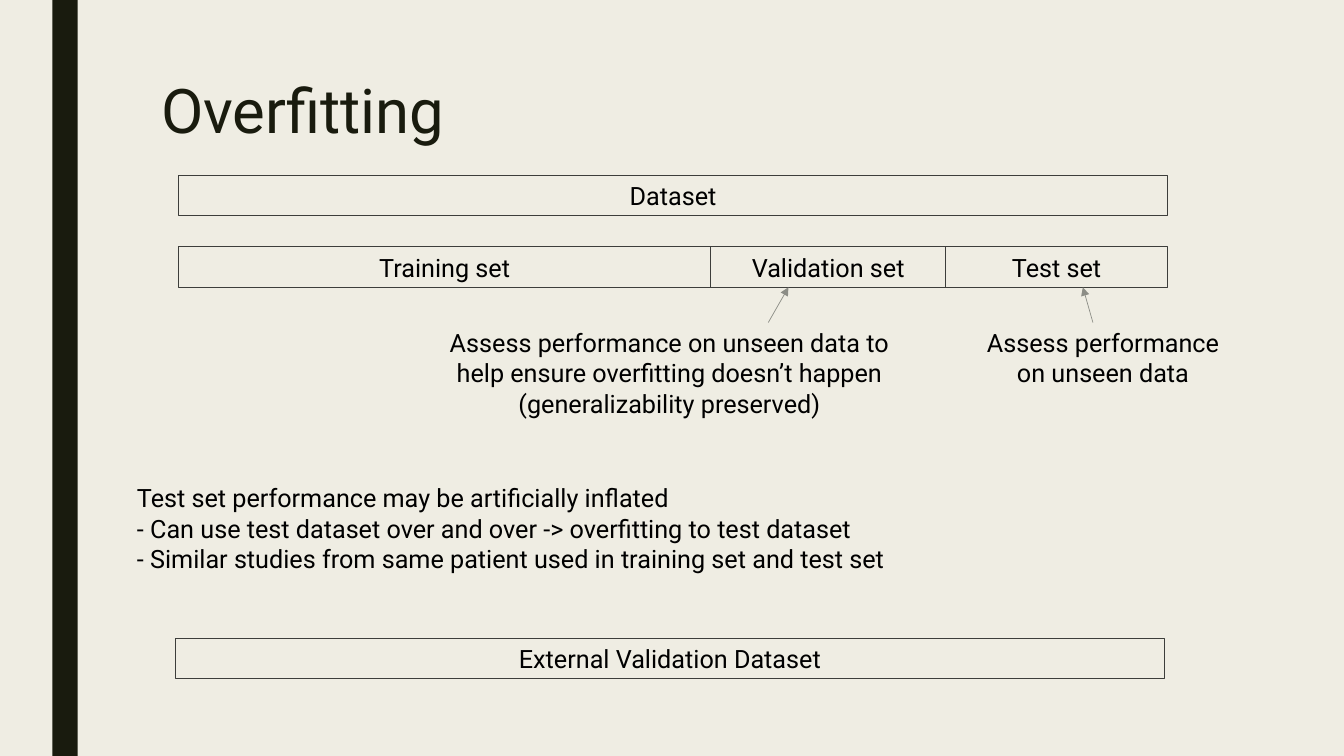
from dataclasses import dataclass

from lxml import etree
from pptx import Presentation
from pptx import util as u
from pptx.dml.color import RGBColor
from pptx.enum import shapes, text
from pptx.oxml.ns import qn


@dataclass(frozen=True)
class Theme:
    font: str = "Roboto"
    title_size: int = 44
    body_size: int = 18
    background: str = "EFEDE3"
    dark: str = "191B0E"
    body: str = "000000"
    box_line: str = "3D3E3B"
    arrow: str = "8C8D86"
    box_width: float = 0.75
    arrow_width: float = 0.5


THEME = Theme()
CENTER, LEFT = text.PP_ALIGN.CENTER, text.PP_ALIGN.LEFT
TOP, MIDDLE = text.MSO_ANCHOR.TOP, text.MSO_ANCHOR.MIDDLE
BAR_H = 0.4


def rgb(value):
    return RGBColor.from_string(value)


def inches(*values):
    return [u.Inches(v) for v in values]


def write(sp, lines, align=LEFT, anchor=TOP, size=THEME.body_size,
          color=THEME.body, spacing=1.0):
    """Fill a shape's text frame with one paragraph per line."""
    tf = sp.text_frame
    for name, value in {"word_wrap": True, "vertical_anchor": anchor}.items():
        setattr(tf, name, value)
    for i, line in enumerate(lines):
        p = tf.paragraphs[0] if i == 0 else tf.add_paragraph()
        p.alignment, p.line_spacing = align, spacing
        r = p.add_run()
        r.text = line
        for name, value in {"name": THEME.font, "size": u.Pt(size)}.items():
            setattr(r.font, name, value)
        r.font.color.rgb = rgb(color)


def add_text(s, box, lines, **style):
    write(s.shapes.add_textbox(*inches(*box)), lines, **style)


def add_rectangle(s, box):
    sp = s.shapes.add_shape(shapes.MSO_SHAPE.RECTANGLE, *inches(*box))
    sp.shadow.inherit = False
    return sp


def add_side_stripe(s, box):
    sp = add_rectangle(s, box)
    sp.fill.solid()
    sp.fill.fore_color.rgb = rgb(THEME.dark)
    sp.line.fill.background()


def add_bar(s, box, parts):
    """Divide the box from left to right into outlined, labelled parts."""
    x, y, w, h = box
    total = sum(width for _, width in parts)
    for label, width in parts:
        part_w = w * width / total
        sp = add_rectangle(s, (x, y, part_w, h))
        sp.fill.background()
        sp.line.color.rgb = rgb(THEME.box_line)
        sp.line.width = u.Pt(THEME.box_width)
        write(sp, [label], align=CENTER, anchor=MIDDLE)
        x += part_w


def add_arrow(s, start, end):
    c = s.shapes.add_connector(shapes.MSO_CONNECTOR.STRAIGHT, *inches(*start, *end))
    c.line.color.rgb = rgb(THEME.arrow)
    c.line.width = u.Pt(THEME.arrow_width)
    etree.SubElement(c.line._get_or_add_ln(), qn("a:tailEnd"), type="triangle")
    etree.SubElement(c._element.spPr, qn("a:effectLst"))


def add_callout(s, box, message, start_dx, tip_dx, rise):
    """Place a note with an arrow rising from its top edge."""
    x, y = box[:2]
    start_x = x + start_dx
    add_arrow(s, (start_x, y), (start_x + tip_dx, y - rise))
    add_text(s, box, [message], align=CENTER)


def add_split_diagram(s, box):
    """Show the whole dataset above its three subsets, with notes below."""
    x, y, w, h = box
    split_y = y + 0.71
    note_y = y + h
    rise = note_y - split_y - BAR_H
    add_bar(s, (x, y, w, BAR_H), [("Dataset", 1)])
    add_bar(s, (x, split_y, w, BAR_H),
            [("Training set", 5.28), ("Validation set", 2.33), ("Test set", 2.2)])
    add_callout(s, (x + 2.54, note_y, 4.66, 1.01),
                "Assess performance on unseen data to help ensure overfitting "
                "doesn’t happen (generalizability preserved)", 3.31, 0.2, rise)
    add_callout(s, (x + 7.78, note_y, 2.78, 0.71),
                "Assess performance on unseen data", 1.29, -0.1, rise)


def build_overfitting_slide(prs):
    s = prs.slides.add_slide(prs.slide_layouts[6])
    s.background.fill.solid()
    s.background.fill.fore_color.rgb = rgb(THEME.background)
    add_side_stripe(s, (0.52, 0, 0.25, 7.5))
    add_text(s, (1.5, 0.75, 10.5, 1.62), ["Overfitting"],
             size=THEME.title_size, color=THEME.dark, spacing=0.89)
    add_split_diagram(s, (1.77, 1.74, 9.81, 1.46))
    add_text(s, (1.26, 4.74, 8.72, 1.31), [
        "Test set performance may be artificially inflated",
        "- Can use test dataset over and over -> overfitting to test dataset",
        "- Similar studies from same patient used in training set and test set",
    ])
    add_bar(s, (1.74, 6.33, 9.81, BAR_H), [("External Validation Dataset", 1)])


def main():
    prs = Presentation()
    prs.slide_width, prs.slide_height = inches(13.33, 7.5)
    build_overfitting_slide(prs)
    prs.save("out.pptx")


if __name__ == "__main__":
    main()
